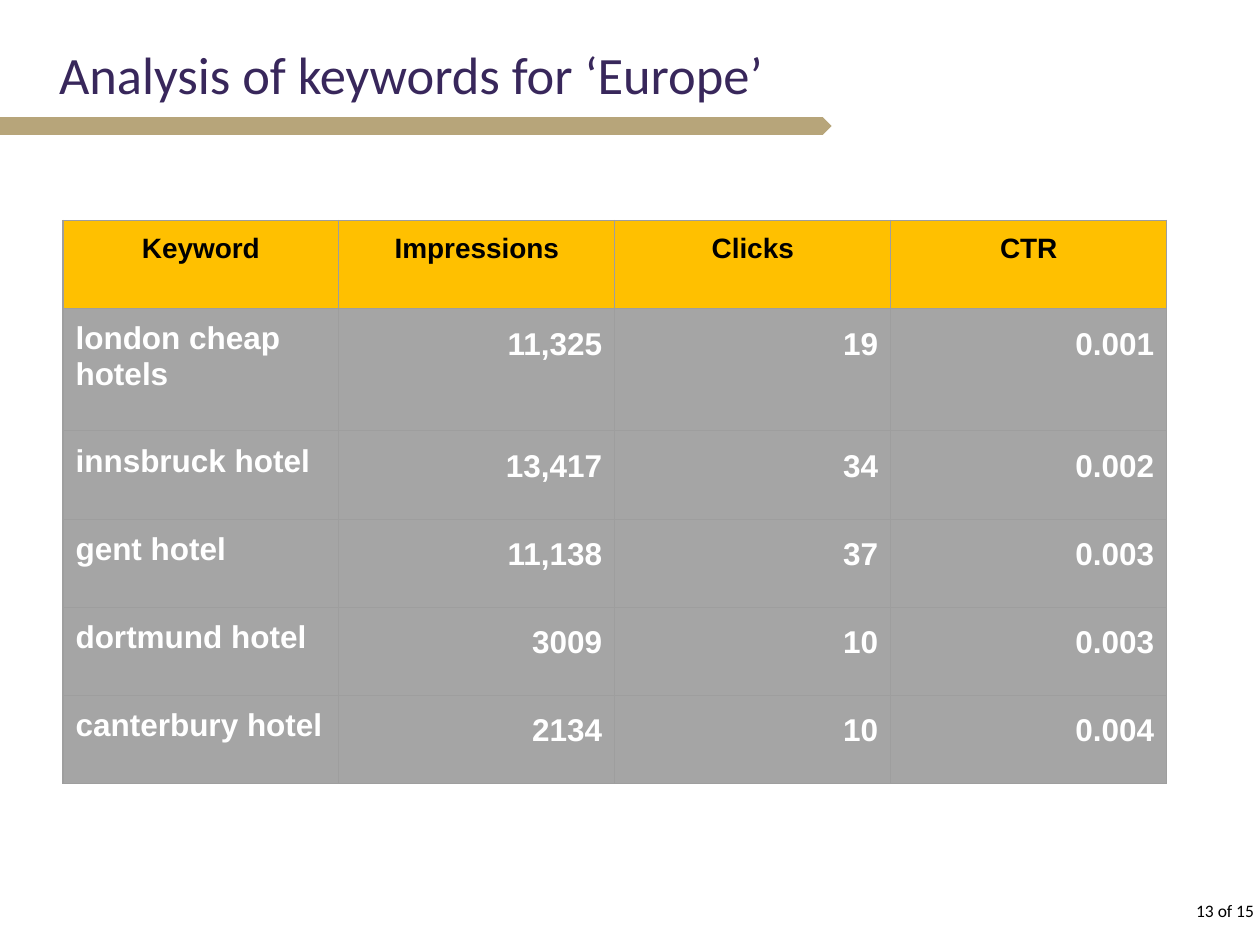
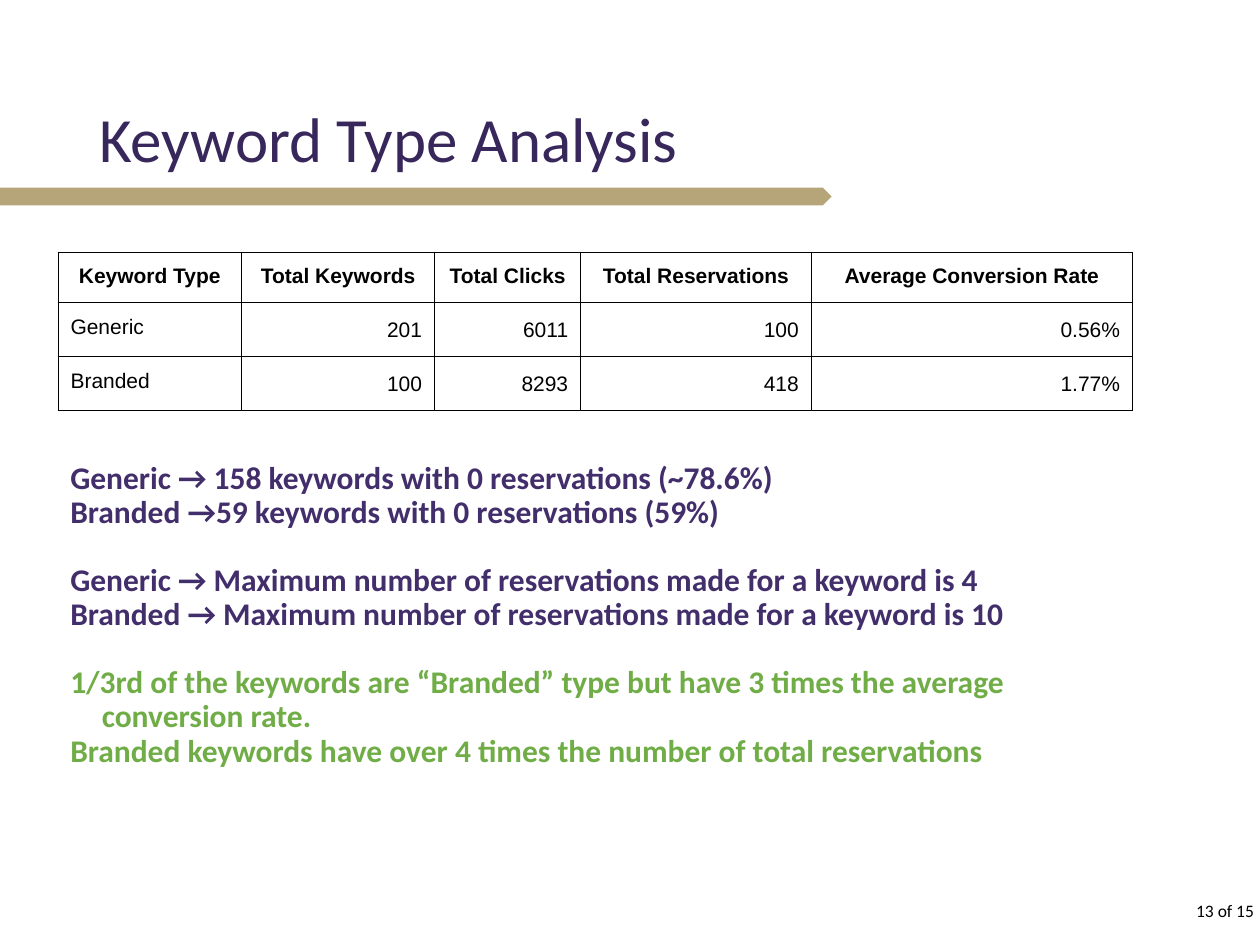
import pptx
import pptx.dml.color
import pptx.enum.shapes
import pptx.enum.text
import pptx.oxml
import pptx.oxml.ns
import pptx.util
from lxml import etree

Inches = pptx.util.Inches
Pt = pptx.util.Pt
ALIGN = pptx.enum.text.PP_ALIGN
ANCHOR = pptx.enum.text.MSO_ANCHOR

COLOURS = {
    "title": "38275B",
    "band": "B7A57A",
    "finding": "432E6C",
    "conclusion": "70AD47",
    "header": "FFC000",
    "body": "A5A5A5",
    "grid": "9E9E9E",
    "black": "000000",
    "white": "FFFFFF",
}

EUROPE_ROWS = [
    ["Keyword", "Impressions", "Clicks", "CTR"],
    ["london cheap hotels", "11,325", "19", "0.001"],
    ["innsbruck hotel", "13,417", "34", "0.002"],
    ["gent hotel", "11,138", "37", "0.003"],
    ["dortmund hotel", "3009", "10", "0.003"],
    ["canterbury hotel", "2134", "10", "0.004"],
]

TYPE_ROWS = [
    ["Keyword Type", "Total Keywords", "Total Clicks", "Total Reservations", "Average Conversion Rate"],
    ["Generic", "201", "6011", "100", "0.56%"],
    ["Branded", "100", "8293", "418", "1.77%"],
]

FINDINGS = [
    ("finding", [
        "Generic → 158 keywords with 0 reservations (~78.6%)",
        "Branded →59 keywords with 0 reservations (59%)",
    ]),
    ("finding", [
        "Generic → Maximum number of reservations made for a keyword is 4",
        "Branded → Maximum number of reservations made for a keyword is 10",
    ]),
    ("conclusion", [
        "1/3rd of the keywords are “Branded” type but have 3 times the average conversion rate.",
        "Branded keywords have over 4 times the number of total reservations",
    ]),
]

EUROPE_STYLE = {
    "header": {"fill": "header", "colour": "black", "size": 16, "bold": True},
    "body": {"fill": "body", "colour": "white", "size": 18, "bold": True},
    "border": ("grid", 0.75),
}

TYPE_STYLE = {
    "header": {"fill": None, "colour": "black", "size": 12, "bold": True},
    "body": {"fill": None, "colour": "black", "size": 12, "bold": False},
    "border": ("black", 0.5),
}


def rgb(colour):
    return pptx.dml.color.RGBColor.from_string(COLOURS[colour])


def apply_format(target, values):
    for attribute, value in values.items():
        setattr(target, attribute, value)


def write(paragraph, text, font, size, colour, bold=False, **layout):
    run = paragraph.add_run()
    run.text = text
    apply_format(run.font, {"name": font, "size": Pt(size), "bold": bold})
    run.font.color.rgb = rgb(colour)
    apply_format(paragraph, layout)


def add_text_frame(slide, left, top, width, height, **layout):
    frame = slide.shapes.add_textbox(
        Inches(left), Inches(top), Inches(width), Inches(height)).text_frame
    apply_format(frame, {"word_wrap": True, **layout})
    return frame


def add_title(slide, text, left, top, size):
    frame = add_text_frame(slide, left, top, 8.62, 1.45, vertical_anchor=ANCHOR.MIDDLE)
    write(frame.paragraphs[0], text, "Calibri", size, "title", line_spacing=0.9)


def add_band(slide, top):
    band = slide.shapes.add_shape(
        pptx.enum.shapes.MSO_SHAPE.PENTAGON, 0, Inches(top), Inches(6.6), Inches(0.14))
    band.shadow.inherit = False
    band.fill.solid()
    band.fill.fore_color.rgb = rgb("band")
    band.line.fill.background()


def add_page_number(slide):
    frame = add_text_frame(slide, 9.38, 7.09, 0.67, 0.27, margin_left=0)
    write(frame.paragraphs[0], "13 of 15", "Calibri", 10, "black", alignment=ALIGN.RIGHT)


def set_borders(cell, colour, width):
    properties = cell._tc.get_or_add_tcPr()
    for position, side in enumerate(("lnL", "lnR", "lnT", "lnB")):
        line = etree.Element(pptx.oxml.ns.qn(f"a:{side}"), w=str(int(Pt(width))))
        fill = etree.SubElement(line, pptx.oxml.ns.qn("a:solidFill"))
        etree.SubElement(fill, pptx.oxml.ns.qn("a:srgbClr"), val=COLOURS[colour])
        properties.insert(position, line)


def fill_cell(cell, text, is_header, is_label, style):
    look = style["header" if is_header else "body"]
    margins = ("margin_left", "margin_right", "margin_top", "margin_bottom")
    apply_format(cell, dict.fromkeys(margins, Inches(0.1)))
    if look["fill"]:
        cell.fill.solid()
        cell.fill.fore_color.rgb = rgb(look["fill"])
    else:
        cell.fill.background()
    if is_header:
        layout = {"alignment": ALIGN.CENTER}
    elif is_label:
        layout = {"alignment": ALIGN.LEFT}
    else:
        layout = {"alignment": ALIGN.RIGHT, "line_spacing": 1.15}
    write(cell.text_frame.paragraphs[0], text, "Arial",
          look["size"], look["colour"], look["bold"], **layout)
    set_borders(cell, *style["border"])


def add_keyword_table(slide, rows, left, top, widths, heights, style):
    table = slide.shapes.add_table(
        len(rows), len(widths), Inches(left), Inches(top),
        Inches(sum(widths)), Inches(sum(heights))).table
    apply_format(table, {"first_row": False, "horz_banding": False})
    for column, width in zip(table.columns, widths):
        column.width = Inches(width)
    for row, height in zip(table.rows, heights):
        row.height = Inches(height)
    for r, row in enumerate(rows):
        for c, text in enumerate(row):
            fill_cell(table.cell(r, c), text, r == 0, c == 0, style)


def add_findings(slide, groups):
    frame = add_text_frame(slide, 0.46, 3.62, 8.53, 3.02)
    paragraph = frame.paragraphs[0]
    for g, (colour, lines) in enumerate(groups):
        for n, text in enumerate(lines):
            if g or n:
                paragraph = frame.add_paragraph()
            gap = Pt(19.5) if g and n == 0 else Pt(0)
            write(paragraph, text, "Calibri", 18, colour, True,
                  line_spacing=0.9, space_before=gap)
            hanging = paragraph._p.get_or_add_pPr()
            hanging.set("marL", str(int(Inches(0.25))))
            hanging.set("indent", str(int(Inches(-0.25))))


def add_slide(deck, title, left, top, size, band_top):
    slide = deck.slides.add_slide(deck.slide_layouts[6])
    add_title(slide, title, left, top, size)
    add_band(slide, band_top)
    add_page_number(slide)
    return slide


def main():
    deck = pptx.Presentation()
    apply_format(deck, {"slide_width": Inches(10), "slide_height": Inches(7.5)})

    europe = add_slide(deck, "Analysis of keywords for ‘Europe’", 0.37, -0.11, 30, 0.93)
    add_keyword_table(europe, EUROPE_ROWS, 0.5, 1.75, [2.19] * 4,
                      [0.7, 0.97] + [0.7] * 4, EUROPE_STYLE)

    keyword_types = add_slide(deck, "Keyword Type Analysis", 0.69, 0.4, 36, 1.49)
    add_findings(keyword_types, FINDINGS)
    add_keyword_table(keyword_types, TYPE_ROWS, 0.46, 2, [1.46, 1.53, 1.16, 1.83, 2.55],
                      [0.39, 0.41, 0.41], TYPE_STYLE)

    deck.save("out.pptx")


if __name__ == "__main__":
    main()
